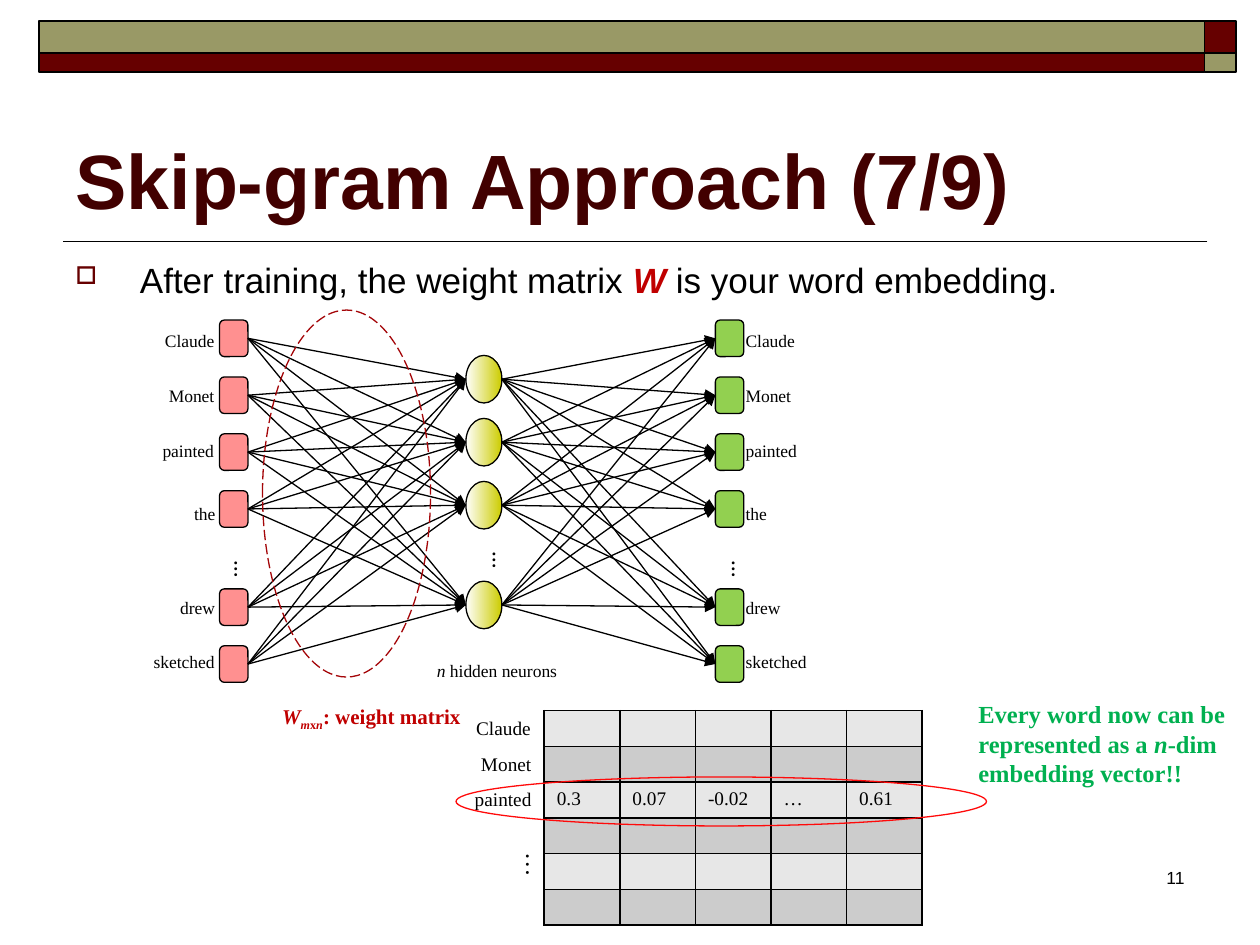
"""Build the slide on skip-gram word embeddings, with its network and weight matrix."""
from dataclasses import dataclass
from itertools import product
from typing import Optional

from lxml.etree import SubElement
from pptx import Presentation
from pptx.dml.color import RGBColor
from pptx.enum.dml import MSO_LINE
from pptx.enum.shapes import MSO_CONNECTOR, MSO_SHAPE
from pptx.enum.text import MSO_ANCHOR, MSO_AUTO_SIZE, PP_ALIGN
from pptx.oxml.ns import qn
from pptx.util import Pt

BLACK = RGBColor(0x00, 0x00, 0x00)
WHITE = RGBColor(0xFF, 0xFF, 0xFF)
MAROON = RGBColor(0x66, 0x00, 0x00)
OLIVE = RGBColor(0x99, 0x99, 0x66)
TITLE_BROWN = RGBColor(0x42, 0x00, 0x00)
CRIMSON = RGBColor(0xC0, 0x00, 0x00)
DASH_RED = RGBColor(0xA4, 0x05, 0x08)
MARK_RED = RGBColor(0xFF, 0x0A, 0x0A)
INPUT_PINK = RGBColor(0xFF, 0x90, 0x90)
OUTPUT_GREEN = RGBColor(0x92, 0xD0, 0x50)
NOTE_GREEN = RGBColor(0x00, 0xB0, 0x50)
HIDDEN_YELLOW = RGBColor(0xCC, 0xCC, 0x00)
BANDS = (RGBColor(0xE7, 0xE7, 0xE7), RGBColor(0xCC, 0xCC, 0xCC))
SANS, SERIF = "Arial", "Times New Roman"


@dataclass(frozen=True)
class Span:
    text: str
    italic: bool = False
    bold: Optional[bool] = None
    color: Optional[RGBColor] = None
    baseline: int = 0


@dataclass(frozen=True)
class Word:
    text: str
    node_top: float
    label_top: float
    label_width: float


WORDS = (
    Word("Claude", 182.9, 185, 43.2),
    Word("Monet", 215.4, 216.7, 41),
    Word("painted", 247.9, 247.7, 44.6),
    Word("the", 280.4, 283.7, 26.6),
    Word("drew", 336.5, 337.7, 34.6),
    Word("sketched", 369, 368.6, 49.7),
)
NODE_WIDTH, NODE_HEIGHT = 16.2, 20.9
INPUT_LEFT, OUTPUT_LEFT = 125.5, 408.8
HIDDEN_LEFT, HIDDEN_WIDTH, HIDDEN_HEIGHT = 266.2, 20.6, 27.2
HIDDEN_TOPS = (203.1, 239.1, 275.1, 332.1)
ROW_LABELS = (("Claude", 46), ("Monet", 43.2), ("painted", 46.8))
ROW_VALUES = ("0.3", "0.07", "-0.02", "…", "0.61")
VALUE_ROW, ROW_COUNT = 2, 6


def write_text(frame, paragraphs, *, size, font=SERIF, color=BLACK, bold=False,
               align=PP_ALIGN.LEFT, wrap=False) -> None:
    frame.word_wrap = wrap
    for index, spans in enumerate(paragraphs):
        paragraph = frame.add_paragraph() if index else frame.paragraphs[0]
        paragraph.alignment = align
        for span in spans:
            run = paragraph.add_run()
            run.text = span.text
            run.font.name = font
            run.font.size = Pt(size)
            run.font.bold = bold if span.bold is None else span.bold
            run.font.italic = span.italic
            run.font.color.rgb = span.color or color
            if span.baseline:
                run.font._element.set("baseline", str(span.baseline * 1000))


def add_text(slide, paragraphs, left: float, top: float, width: float, height: float,
             *, vertical: bool = False, **text_format):
    box = slide.shapes.add_textbox(Pt(left), Pt(top), Pt(width), Pt(height))
    write_text(box.text_frame, paragraphs, **text_format)
    if vertical:
        box.text_frame._txBody.bodyPr.set("vert", "eaVert")
    return box


def add_figure(slide, kind, left: float, top: float, width: float, height: float,
               *, fill=None, line=BLACK, weight: float = 0.75):
    shape = slide.shapes.add_shape(kind, Pt(left), Pt(top), Pt(width), Pt(height))
    shape.shadow.inherit = False
    shape.line.color.rgb = line
    shape.line.width = Pt(weight)
    if fill is None:
        shape.fill.background()
    else:
        shape.fill.solid()
        shape.fill.fore_color.rgb = fill
    return shape


def add_line(slide, start, end, *, weight: float = 0.75, arrow: bool = True):
    connector = slide.shapes.add_connector(
        MSO_CONNECTOR.STRAIGHT, *(Pt(value) for value in (*start, *end)))
    connector.line.color.rgb = BLACK
    connector.line.width = Pt(weight)
    if arrow:
        SubElement(connector.line._get_or_add_ln(), qn("a:tailEnd"), type="triangle")
    SubElement(connector._element.spPr, qn("a:effectLst"))
    return connector


def add_heading(slide) -> None:
    add_line(slide, (690, 138), (36, 138), weight=1, arrow=False)
    bands = ((688.3, 12.2, 18, 18, MAROON), (22.3, 12.2, 666, 18, OLIVE),
             (22.3, 30.2, 666, 10.8, MAROON), (688.3, 30.2, 18, 10.8, OLIVE))
    for *bounds, color in bands:
        add_figure(slide, MSO_SHAPE.RECTANGLE, *bounds, fill=color, weight=1)
    title = slide.shapes.title
    title.left, title.top, title.width, title.height = Pt(36), Pt(42), Pt(648), Pt(90)
    title.text_frame.auto_size = MSO_AUTO_SIZE.NONE
    title.text_frame.vertical_anchor = MSO_ANCHOR.BOTTOM
    write_text(title.text_frame, [[Span("Skip-gram Approach (7/9)")]], size=44,
               font=SANS, color=TITLE_BROWN, bold=True, wrap=True)


def add_statement(slide) -> None:
    spans = [Span("After training, the weight matrix "),
             Span("W", italic=True, bold=True, color=CRIMSON),
             Span(" is your word embedding.")]
    box = add_text(slide, [spans], 36, 144, 648, 338.4, size=20, font=SANS, wrap=True)
    paragraph = box.text_frame.paragraphs[0]
    paragraph.space_before = Pt(4)
    properties = paragraph._p.get_or_add_pPr()
    properties.set("marL", str(Pt(36.9)))
    properties.set("indent", str(-Pt(36.9)))
    bullet_color = SubElement(properties, qn("a:buClr"))
    SubElement(bullet_color, qn("a:srgbClr"), val=str(MAROON))
    SubElement(properties, qn("a:buSzPct"), val="70000")
    SubElement(properties, qn("a:buChar"), char="□")


def add_network(slide) -> None:
    for top in HIDDEN_TOPS:
        neuron = add_figure(slide, MSO_SHAPE.OVAL, HIDDEN_LEFT, top,
                            HIDDEN_WIDTH, HIDDEN_HEIGHT)
        neuron.fill.gradient()
        neuron.fill.gradient_angle = 0
        for stop, color in zip(neuron.fill.gradient_stops, (WHITE, HIDDEN_YELLOW)):
            stop.color.rgb = color
    inputs, outputs = (
        [add_figure(slide, MSO_SHAPE.ROUNDED_RECTANGLE, left, word.node_top,
                    NODE_WIDTH, NODE_HEIGHT, fill=color) for word in WORDS]
        for left, color in ((INPUT_LEFT, INPUT_PINK), (OUTPUT_LEFT, OUTPUT_GREEN)))
    for index, top in product(range(len(WORDS)), HIDDEN_TOPS):
        node_middle = WORDS[index].node_top + NODE_HEIGHT / 2
        neuron_middle = top + HIDDEN_HEIGHT / 2
        incoming = add_line(slide, (INPUT_LEFT + NODE_WIDTH, node_middle),
                            (HIDDEN_LEFT, neuron_middle))
        incoming.begin_connect(inputs[index], 3)
        outgoing = add_line(slide, (HIDDEN_LEFT + HIDDEN_WIDTH, neuron_middle),
                            (OUTPUT_LEFT, node_middle))
        outgoing.end_connect(outputs[index], 1)
    for word in WORDS:
        for left in (130.4 - word.label_width, 419):
            add_text(slide, [[Span(word.text)]], left, word.label_top,
                     word.label_width, 19.4, size=10)
    for left, top in ((268.6, 308.2), (121, 313.2), (405.4, 313.2)):
        add_text(slide, [[Span("…")]], left, top, 26.6, 17.3,
                 size=10, bold=True, vertical=True)
    add_text(slide, [[Span("n", italic=True), Span(" hidden neurons")]],
             242.6, 373.7, 84.2, 19.4, size=10)
    add_text(slide, [[Span("W", italic=True), Span("m", italic=True, baseline=-25),
                      Span("x", baseline=-25), Span("n", italic=True, baseline=-25),
                      Span(": weight matrix")]],
             154.1, 398.2, 119.5, 21.6, size=12, color=CRIMSON, bold=True)


def add_weight_matrix(slide) -> None:
    frame = slide.shapes.add_table(ROW_COUNT, len(ROW_VALUES), Pt(311), Pt(406),
                                   Pt(216), Pt(122.7))
    for row, column in product(range(ROW_COUNT), range(len(ROW_VALUES))):
        cell = frame.table.cell(row, column)
        for side in ("lnL", "lnR", "lnT", "lnB"):
            border = SubElement(cell._tc.get_or_add_tcPr(), qn(f"a:{side}"), w=str(Pt(1)))
            border_fill = SubElement(border, qn("a:solidFill"))
            SubElement(border_fill, qn("a:srgbClr"), val=str(BLACK))
        cell.fill.solid()
        cell.fill.fore_color.rgb = BANDS[row % 2]
        if row == VALUE_ROW:
            write_text(cell.text_frame, [[Span(ROW_VALUES[column])]], size=11, wrap=True)
        else:
            SubElement(cell.text_frame.paragraphs[0]._p, qn("a:endParaRPr"), sz="1100")
    for index, (label, width) in enumerate(ROW_LABELS):
        add_text(slide, [[Span(label)]], 311 - width, 406 + 20.2 * index,
                 width, 20.6, size=11)
    add_text(slide, [[Span("…")]], 286.6, 480.2, 31.7, 21.6, size=14, vertical=True)
    add_figure(slide, MSO_SHAPE.OVAL, 260.6, 444, 303.1, 28, line=MARK_RED)


def main() -> None:
    presentation = Presentation()
    presentation.slide_width, presentation.slide_height = Pt(720), Pt(540)
    slide = presentation.slides.add_slide(presentation.slide_layouts[5])
    add_heading(slide)
    add_statement(slide)
    add_text(slide, [[Span("11")]], 534, 492, 150, 36, size=10, font=SANS,
             align=PP_ALIGN.RIGHT, wrap=True)
    add_network(slide)
    add_weight_matrix(slide)
    add_text(slide, [[Span("Every word now can be")],
                     [Span("represented as a "), Span("n", italic=True), Span("-dim")],
                     [Span("embedding vector!!")]],
             552, 396, 160.6, 58.3, size=14, color=NOTE_GREEN, bold=True)
    weights_mark = add_figure(slide, MSO_SHAPE.OVAL, 150, 177.2, 96, 209.7, line=DASH_RED)
    weights_mark.line.dash_style = MSO_LINE.LONG_DASH
    presentation.save("out.pptx")


if __name__ == "__main__":
    main()
